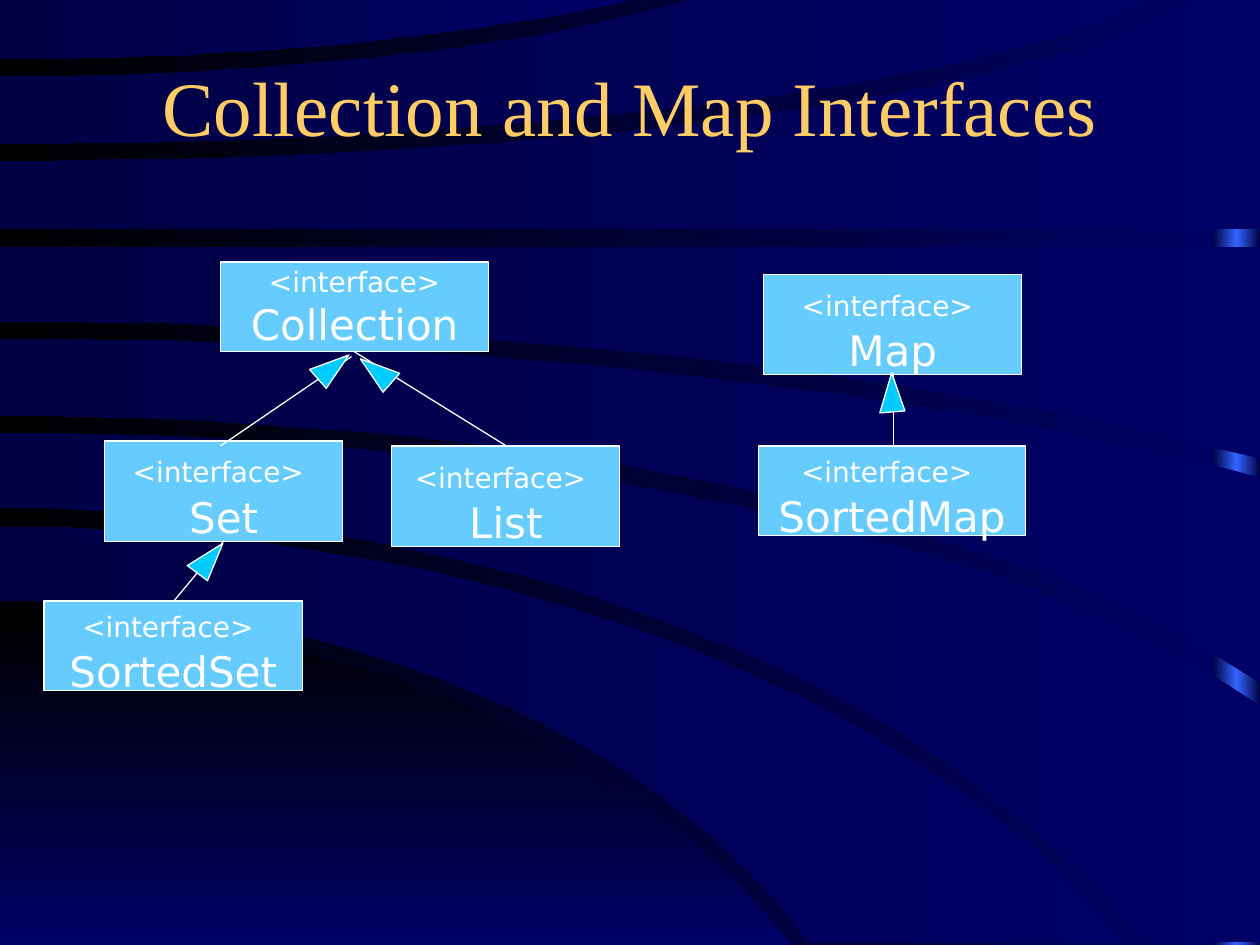
"""Build a slide showing the collection and map interface trees."""
from copy import deepcopy
from math import sqrt
from pptx import Presentation
from pptx.dml.color import RGBColor
from pptx.enum.shapes import MSO_CONNECTOR as LINK, MSO_SHAPE as FORM
from pptx.enum.text import MSO_ANCHOR as ANCHOR, MSO_AUTO_SIZE as FIT, PP_ALIGN as ALIGN
from pptx.oxml.ns import qn
from pptx.oxml.xmlchemy import OxmlElement as Node
from pptx.util import Inches, Pt

BLACK = RGBColor(0x00, 0x00, 0x00)
NAVY = RGBColor(0x00, 0x00, 0x66)
DARK = RGBColor(0x00, 0x00, 0x44)
BLUE = RGBColor(0x33, 0x66, 0xFF)
GOLD = RGBColor(0xFF, 0xCC, 0x66)
SKY = RGBColor(0x66, 0xCC, 0xFF)
CYAN = RGBColor(0x00, 0xCC, 0xFF)
WHITE = RGBColor(0xFF, 0xFF, 0xFF)
SERIF, SANS = "Times New Roman", "DejaVu Sans"

deck = Presentation()
deck.slide_width, deck.slide_height = Inches(10), Inches(7.5)
COL, ROW = deck.slide_width // 1000, deck.slide_height // 750
slide = deck.slides.add_slide(deck.slide_layouts[5])
shapes = slide.shapes


def dress(item, looks):
    """Set each format value on the item."""
    for name, value in looks.items():
        setattr(item, name, value)


def blend(fill, first, last, angle):
    """Give the fill a two-colour gradient."""
    fill.gradient()
    fill.gradient_angle = angle
    for stop, tone, place in zip(fill.gradient_stops, (first, last), (0, 1)):
        stop.color.rgb, stop.position = tone, place


blend(slide.background.fill, NAVY, BLACK, 180)

strip = shapes.add_shape(FORM.RECTANGLE, 963 * COL, 0, 37 * COL, 750 * ROW)
strip.shadow.inherit = False
strip.line.fill.background()
blend(strip.fill, DARK, DARK, 180)
edge = next(strip.element.iter(qn("a:gs")))
edge.addnext(deepcopy(edge))
middle = strip.fill.gradient_stops[1]
middle.color.rgb, middle.position = BLUE, 0.5

bands = [
    ((491, 628, 750, 0.9), (750, 628, 750, 0.9)),
    ((418, 893, 748, 0.9), (477, 642, 748, 0.9)),
    ((344, 1000, 560, 0.9), (403, 909, 748, 0.9)),
    ((269, 1000, 379, 0.7), (330, 1000, 542, 0.9)),
    ((196, 1000, 196, 0.7), (255, 1000, 364, 0.7)),
    ((128, 943, 0, 0.97), (182, 1000, 182, 0.7)),
    ((61, 548, 0, 0.8), (114, 913, 0, 0.95)),
    ((0, 501, 0, 0.7), (47, 501, 0, 0.7)),
]
STEPS = 24
for index, band in enumerate(bands):
    top, low = [
        [(end * step / STEPS,
          start + (stop - start) * (1 - sqrt(1 - (bend * step / STEPS) ** 2))
          / (1 - sqrt(1 - bend ** 2)))
         for step in range(STEPS + 1)]
        for start, end, stop, bend in band]
    pick = min if top[-1][1] < top[0][1] else max
    corner = tuple(rule(pair) for rule, pair in zip((max, pick), zip(top[-1], low[-1])))
    pen = shapes.build_freeform(*top[0], scale=(COL, ROW))
    pen.add_line_segments(top[1:] + [corner] + low[::-1], close=True)
    wave = pen.convert_to_shape()
    wave.shadow.inherit = False
    wave.line.fill.background()
    blend(wave.fill, *((NAVY, DARK, 180) if index else (BLACK, NAVY, 270)))

title = shapes.title
dress(title, dict(left=75 * COL, top=42 * ROW, width=850 * COL, height=83 * ROW))
dress(title.text_frame, dict(text="Collection and Map Interfaces", word_wrap=True,
                             auto_size=FIT.NONE, vertical_anchor=ANCHOR.MIDDLE))
head = title.text_frame.paragraphs[0]
head.alignment = ALIGN.CENTER
dress(head.runs[0].font, dict(name=SERIF, size=Pt(44)))
head.runs[0].font.color.rgb = GOLD
title.element.getparent().append(title.element)

boxes = [
    ("Collection", 175, 208, 213, 71, ""),
    ("Set", 83, 350, 189, 80, " "),
    ("List", 311, 354, 181, 80, " "),
    ("SortedSet", 35, 477, 205, 71, " "),
    ("Map", 606, 218, 205, 79, " "),
    ("SortedMap", 602, 354, 212, 71, " "),
]
for name, left, top, wide, high, gap in boxes:
    box = shapes.add_shape(FORM.RECTANGLE, left * COL, top * ROW, wide * COL, high * ROW)
    box.shadow.inherit = False
    box.fill.solid()
    box.fill.fore_color.rgb = SKY
    box.line.color.rgb, box.line.width = WHITE, Pt(0.75)
    dress(box.text_frame, dict(word_wrap=False, vertical_anchor=ANCHOR.MIDDLE))
    para = box.text_frame.paragraphs[0]
    para.alignment = ALIGN.CENTER
    for text, face, size in (("<interface>", SANS, 16), (gap, SERIF, 24), (name, SANS, 24)):
        if text == name:
            para.add_line_break()
        if text:
            run = para.add_run()
            run.text = text
            dress(run.font, dict(name=face, size=Pt(size)))
            run.font.color.rgb = WHITE

links = [
    ((279, 283, 175, 354), (254, 275), 48.6, 0.6),
    ((138, 477, 178, 429), (156, 427), 36.9, 0.6),
    ((281, 279, 402, 354), (289, 278), 311.4, 0.4),
    ((709, 354, 709, 296), (697, 296), 355.3, 0.6),
]
for (x1, y1, x2, y2), (left, top), turn, peak in links:
    line = shapes.add_connector(LINK.STRAIGHT, x1 * COL, y1 * ROW, x2 * COL, y2 * ROW)
    line.line.color.rgb, line.line.width = WHITE, Pt(0.75)
    line.element.spPr.append(Node("a:effectLst"))
    tip = shapes.add_shape(FORM.ISOSCELES_TRIANGLE, left * COL, top * ROW, 20 * COL, 31 * ROW)
    tip.shadow.inherit = False
    tip.rotation, tip.adjustments[0] = turn, peak
    tip.fill.solid()
    tip.fill.fore_color.rgb = CYAN
    tip.line.color.rgb, tip.line.width = WHITE, Pt(0.75)

deck.save("out.pptx")
